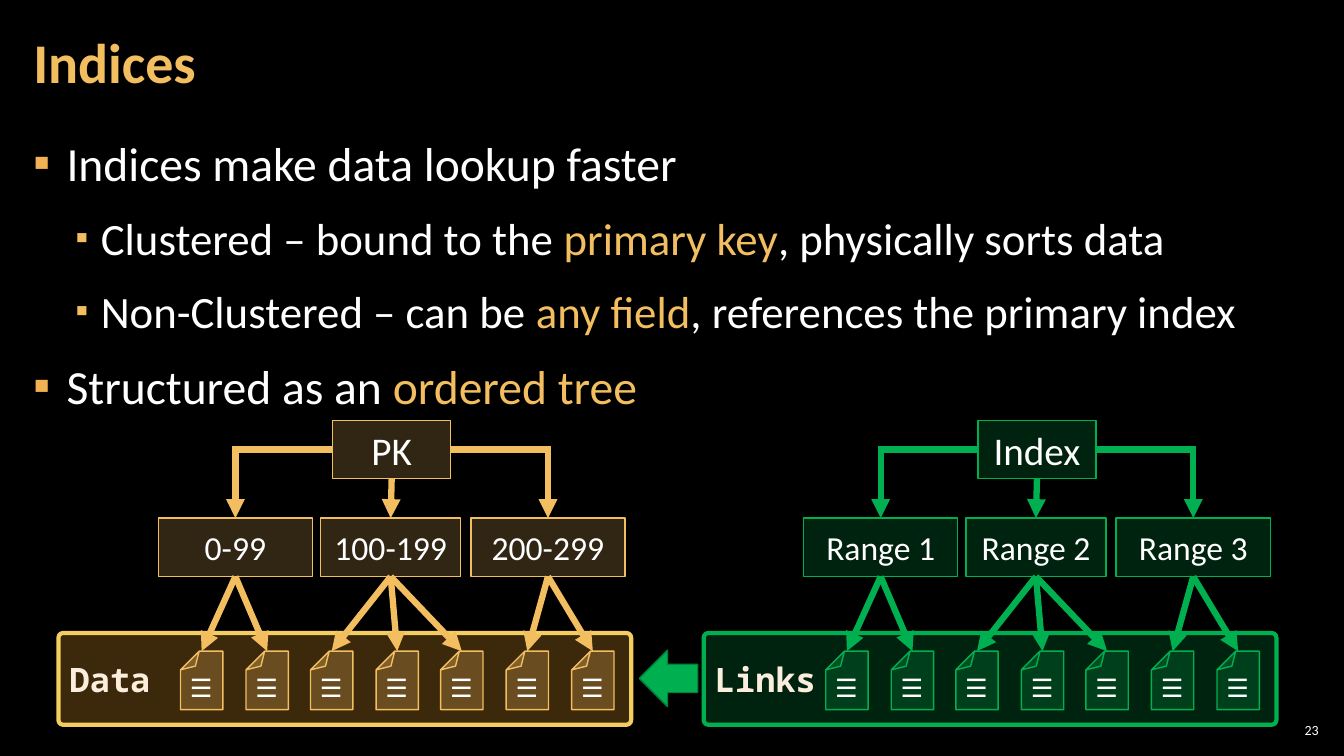
from lxml import etree
from pptx import Presentation
from pptx.dml.color import RGBColor
from pptx.enum.shapes import MSO_CONNECTOR, MSO_SHAPE
from pptx.enum.text import MSO_ANCHOR, PP_ALIGN
from pptx.oxml.ns import qn
from pptx.util import Pt

PX = 9144  # 100 px to the inch
RECTANGLE, ROUNDED = MSO_SHAPE.RECTANGLE, MSO_SHAPE.ROUNDED_RECTANGLE
PAGE, BLOCK_ARROW = MSO_SHAPE.FOLDED_CORNER, MSO_SHAPE.RIGHT_ARROW
STRAIGHT, ELBOW = MSO_CONNECTOR.STRAIGHT, MSO_CONNECTOR.ELBOW
MIDDLE = MSO_ANCHOR.MIDDLE
LEFT, CENTER, RIGHT = PP_ALIGN.LEFT, PP_ALIGN.CENTER, PP_ALIGN.RIGHT
TOP_SIDE, LEFT_SIDE, BOTTOM_SIDE, RIGHT_SIDE = range(4)
BODY_FONT, CODE_FONT = "Calibri", "Noto Sans Mono"
COLORS = {
    "background": "000000", "text": "FFFFFF", "label": "FBEEDC",
    "amber": "F3BE60", "bullet": "F2B254", "panel": "F0A22E",
    "panel_edge": "F3CD60", "green": "00B050", "dark_green": "00843C",
}

presentation = Presentation()
presentation.slide_width, presentation.slide_height = 1333 * PX, 750 * PX
slide = presentation.slides.add_slide(presentation.slide_layouts[5])
slide.background.fill.solid()
slide.background.fill.fore_color.rgb = RGBColor.from_string(COLORS["background"])
shapes = slide.shapes


def add_run(paragraph, text, size, color="text", bold=False, font=BODY_FONT):
    run = paragraph.add_run()
    run.text = text
    run.font.size, run.font.bold, run.font.name = Pt(size), bold, font
    run.font.color.rgb = RGBColor.from_string(COLORS[color])


def add_box(kind, bounds, fill, opacity, edge, edge_width=1):
    shape = shapes.add_shape(kind, *[value * PX for value in bounds])
    shape.shadow.inherit = False
    shape.fill.solid()
    shape.fill.fore_color.rgb = RGBColor.from_string(COLORS[fill])
    if opacity < 100:
        color = shape._element.spPr.find(qn("a:solidFill")).find(qn("a:srgbClr"))
        etree.SubElement(color, qn("a:alpha"), val=str(opacity * 1000))
    shape.line.color.rgb = RGBColor.from_string(COLORS[edge])
    shape.line.width = Pt(edge_width)
    shape.text_frame.vertical_anchor = MIDDLE
    return shape


# Title
title = shapes.title
title.left, title.top, title.width, title.height = 21 * PX, 4 * PX, 1047 * PX, 121 * PX
frame = title.text_frame
frame.margin_left = frame.margin_right = 12 * PX
frame.margin_top = frame.margin_bottom = 4 * PX
frame.vertical_anchor = MIDDLE
paragraph = frame.paragraphs[0]
paragraph.alignment = LEFT
paragraph.line_spacing = 0.9
add_run(paragraph, "Indices", 40, "amber", bold=True)

# Slide number
frame = shapes.add_textbox(1265 * PX, 714 * PX, 47 * PX, 21 * PX).text_frame
frame.word_wrap = True
frame.margin_left = frame.margin_right = frame.margin_top = frame.margin_bottom = 4 * PX
frame.vertical_anchor = MIDDLE
frame.paragraphs[0].alignment = RIGHT
add_run(frame.paragraphs[0], "23", 10)

# Bulleted text: level, then runs as (text, colour)
bullets = [
    (0, [("Indices make data lookup faster", "text")]),
    (1, [("Clustered – bound to the ", "text"), ("primary key", "amber"),
         (", physically sorts data", "text")]),
    (1, [("Non-Clustered – can be ", "text"), ("any field", "amber"),
         (", references the primary index", "text")]),
    (0, [("Structured as an ", "text"), ("ordered tree", "amber")]),
]
frame = shapes.add_textbox(21 * PX, 126 * PX, 1291 * PX, 609 * PX).text_frame
frame.word_wrap = True
frame.margin_left = frame.margin_right = 12 * PX
frame.margin_top = frame.margin_bottom = 4 * PX
for index, (level, runs) in enumerate(bullets):
    paragraph = frame.add_paragraph() if index else frame.paragraphs[0]
    paragraph.level = level
    margin, hanging, size, bullet_color, bullet_size = [
        (33, 33, 34, "bullet", 100), (67, 25, 32, "amber", 80)][level]
    properties = paragraph._p.get_or_add_pPr()
    properties.set("marL", str(margin * PX))
    properties.set("indent", str(-hanging * PX))
    color = etree.SubElement(properties, qn("a:buClr"))
    etree.SubElement(color, qn("a:srgbClr"), val=COLORS[bullet_color])
    etree.SubElement(properties, qn("a:buSzPct"), val=str(bullet_size * 1000))
    etree.SubElement(properties, qn("a:buFont"), typeface=BODY_FONT)
    etree.SubElement(properties, qn("a:buChar"), char="▪")
    paragraph.line_spacing = 1.05
    paragraph.space_before = Pt(6 if index else 0)
    paragraph.space_after = Pt(6)
    for text, run_color in runs:
        add_run(paragraph, text, size, run_color)

# Index trees: offset, colour, panel fill, panel edge, panel and page opacity, labels
trees = [
    (0, "amber", "panel", "panel_edge", 25, "PK", "Data", ["0-99", "100-199", "200-299"]),
    (640, "green", "green", "green", 20, "Index", "Links", ["Range 1", "Range 2", "Range 3"]),
]
NODES = [(157, 153, [0, 1]), (318, 139, [2, 3, 4]), (467, 153, [5, 6])]
NODE_TOP, NODE_HEIGHT, PAGE_TOP, PAGE_WIDTH = 514, 58, 646, 42
for offset, color, panel_fill, panel_edge, opacity, root_label, panel_label, ranges in trees:
    # Root node
    root = add_box(RECTANGLE, (offset + 330, 417, 117, NODE_HEIGHT), color, 20, color)
    paragraph = root.text_frame.paragraphs[0]
    paragraph.alignment = CENTER
    add_run(paragraph, root_label, 28)

    # Panel with its row of pages
    panel = add_box(ROUNDED, (offset + 58, 628, 568, 91), panel_fill, opacity, panel_edge, 3)
    panel.adjustments[0] = 0.05
    paragraph = panel.text_frame.paragraphs[0]
    paragraph.alignment = LEFT
    add_run(paragraph, panel_label, 24, "label", True, CODE_FONT)
    page_lefts = [offset + 179 + round(64.6 * number) for number in range(7)]
    for left in page_lefts:
        page = add_box(PAGE, (left, PAGE_TOP, PAGE_WIDTH, 58), color, opacity, color)
        page.rotation = 180
        fold = page._element.spPr.find(qn("a:prstGeom")).get_or_add_avLst()
        etree.SubElement(fold, qn("a:gd"), name="adj", fmla="val 44000")
        frame = shapes.add_textbox((left - 13) * PX, 662 * PX, 67 * PX, 40 * PX).text_frame
        frame.word_wrap = True
        frame.paragraphs[0].alignment = CENTER
        add_run(frame.paragraphs[0], "☰", 18, "text", True, CODE_FONT)

    # Range nodes and their arrows
    arrows = []
    root_sides = [LEFT_SIDE, BOTTOM_SIDE, RIGHT_SIDE]
    for (left, width, pages), label, side in zip(NODES, ranges, root_sides):
        node = add_box(RECTANGLE, (offset + left, NODE_TOP, width, NODE_HEIGHT), color, 20, color)
        paragraph = node.text_frame.paragraphs[0]
        paragraph.alignment = CENTER
        add_run(paragraph, label, 24)

        kind = STRAIGHT if side == BOTTOM_SIDE else ELBOW
        arrow = shapes.add_connector(kind, 0, 0, 0, 0)
        arrow.begin_connect(root, side)
        arrow.end_connect(node, TOP_SIDE)
        if kind == ELBOW:
            arrow._element.spPr.find(qn("a:prstGeom")).set("prst", "bentConnector2")
        arrows.append(arrow)
        for number in pages:
            page_middle = page_lefts[number] + PAGE_WIDTH // 2
            arrow = shapes.add_connector(STRAIGHT, 0, 0, page_middle * PX, PAGE_TOP * PX)
            arrow.begin_connect(node, BOTTOM_SIDE)
            arrows.append(arrow)
    for arrow in arrows:
        arrow.line.color.rgb = RGBColor.from_string(COLORS[color])
        arrow.line.width = Pt(4.5)
        line = arrow.line._get_or_add_ln()
        etree.SubElement(line, qn("a:miter"), lim="800000")
        etree.SubElement(line, qn("a:tailEnd"), type="triangle")
        etree.SubElement(arrow._element.spPr, qn("a:effectLst"))

# Arrow from the links to the data
block_arrow = add_box(BLOCK_ARROW, (634, 645, 58, 56), "green", 100, "dark_green")
block_arrow.rotation = 180

presentation.save("out.pptx")
